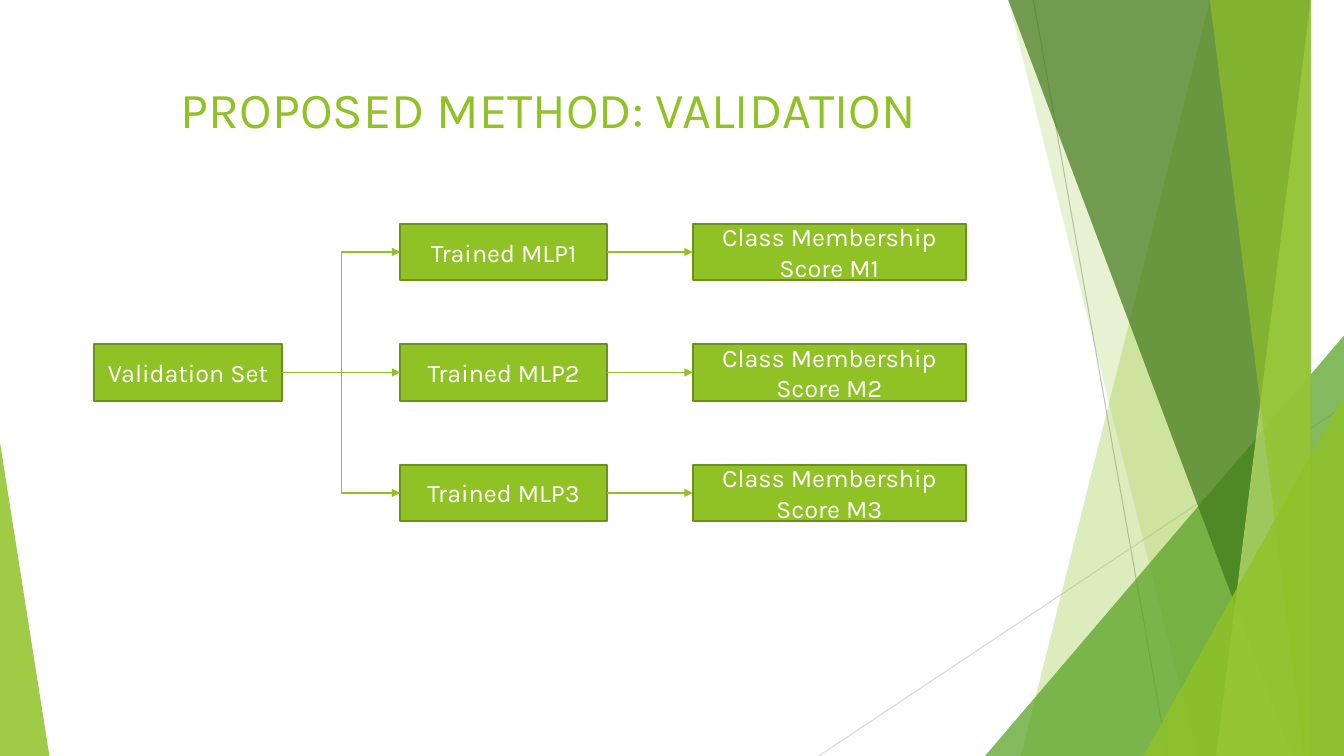
from lxml import etree
from pptx import Presentation
from pptx.dml.color import RGBColor
from pptx.enum.shapes import MSO_CONNECTOR, MSO_SHAPE
from pptx.enum.text import MSO_ANCHOR, MSO_AUTO_SIZE, PP_ALIGN
from pptx.oxml.ns import qn
from pptx.util import Inches, Pt

STRAIGHT, ELBOW = MSO_CONNECTOR.STRAIGHT, MSO_CONNECTOR.ELBOW
RECTANGLE, TRIANGLE = MSO_SHAPE.RECTANGLE, MSO_SHAPE.ISOSCELES_TRIANGLE
CENTER, MIDDLE = PP_ALIGN.CENTER, MSO_ANCHOR.MIDDLE
NO_AUTOFIT = MSO_AUTO_SIZE.NONE

WIDTH, HEIGHT = 13.33, 7.5
FONT = "Karla"
TITLE_ONLY = 5
LEFT_SITE, RIGHT_SITE = 1, 3
COLORS = {
    "lime": "90C226", "border": "6B901C", "green": "54A021",
    "forest": "3F7819", "pale": "C0E474", "white": "FFFFFF",
    "gray": "BFBFBF", "light_gray": "D9D9D9",
}

# Flow chart grid: (left, width) of each column, evenly spaced rows
COLUMNS = {"input": (0.93, 1.87), "model": (3.97, 2.05), "score": (6.87, 2.71)}
FIRST_ROW, ROW_STEP, BOX_HEIGHT = 2.22, 1.195, 0.56


def color(name):
    """Return the named palette colour."""
    return RGBColor.from_string(COLORS[name])


def write_text(shape, text, size=18, font_color="white"):
    """Put one centred line of formatted text in a shape."""
    frame = shape.text_frame
    frame.word_wrap = True
    frame.auto_size = NO_AUTOFIT
    frame.vertical_anchor = MIDDLE
    paragraph = frame.paragraphs[0]
    paragraph.alignment = CENTER
    run = paragraph.add_run()
    run.text = text
    run.font.name = FONT
    run.font.size = Pt(size)
    run.font.color.rgb = color(font_color)


def paint_facet(shape, fill, opacity):
    """Give a decorative shape a translucent fill and no outline."""
    shape.shadow.inherit = False
    shape.line.fill.background()
    shape.fill.solid()
    shape.fill.fore_color.rgb = color(fill)
    color_node = shape.fill._xPr.find(".//" + qn("a:srgbClr"))
    etree.SubElement(color_node, qn("a:alpha"), val=str(opacity * 1000))


def add_band(slide, top_x, bottom_x, fill, opacity):
    """Draw a full-height band from a slanted edge to the right side."""
    builder = slide.shapes.build_freeform(top_x, 0, scale=Inches(1))
    builder.add_line_segments([(WIDTH, 0), (WIDTH, HEIGHT), (bottom_x, HEIGHT)])
    paint_facet(builder.convert_to_shape(), fill, opacity)


def add_corner(slide, left, top, width, peak, fill, opacity):
    """Draw a right triangle that stands on the bottom edge."""
    shape = slide.shapes.add_shape(
        TRIANGLE, Inches(left), Inches(top), Inches(width), Inches(HEIGHT - top))
    shape.adjustments[0] = peak
    paint_facet(shape, fill, opacity)


def add_line(slide, start=(0, 0), end=(0, 0), kind=STRAIGHT,
             line_color="lime", weight=1):
    """Draw a plain connector without a shadow."""
    points = [Inches(value) for value in (*start, *end)]
    connector = slide.shapes.add_connector(kind, *points)
    connector.line.color.rgb = color(line_color)
    connector.line.width = Pt(weight)
    etree.SubElement(connector._element.spPr, qn("a:effectLst"))
    return connector


def add_arrow(slide, source, target, kind=STRAIGHT):
    """Link the right side of one box to the left side of another."""
    connector = add_line(slide, kind=kind)
    connector.begin_connect(source, RIGHT_SITE)
    connector.end_connect(target, LEFT_SITE)
    etree.SubElement(connector.line._get_or_add_ln(), qn("a:tailEnd"),
                     type="triangle")


def add_box(slide, column, row, text):
    """Draw a labelled flow chart box at a grid position."""
    left, width = COLUMNS[column]
    box = slide.shapes.add_shape(
        RECTANGLE, Inches(left), Inches(FIRST_ROW + row * ROW_STEP),
        Inches(width), Inches(BOX_HEIGHT))
    box.shadow.inherit = False
    box.fill.solid()
    box.fill.fore_color.rgb = color("lime")
    box.line.color.rgb = color("border")
    box.line.width = Pt(1.5)
    write_text(box, text)
    return box


def add_background(slide):
    """Draw the thin lines and the overlapping green facets."""
    add_line(slide, (10.25, 0), (11.58, HEIGHT), line_color="gray", weight=0.75)
    add_line(slide, (WIDTH, 4.03), (8.12, HEIGHT),
             line_color="light_gray", weight=0.75)
    add_band(slide, 12.28, 10.04, "lime", 30)
    add_band(slide, 10.5, 11.83, "lime", 20)
    add_corner(slide, 9.77, 3.33, 3.56, 1, "green", 72)
    add_band(slide, 10.21, 12.91, "forest", 70)
    add_band(slide, 13.03, 11.92, "pale", 70)
    add_band(slide, 11.96, 13.18, "lime", 65)
    add_corner(slide, 11.34, 3.93, 1.99, 1, "lime", 80)
    add_corner(slide, 0, 4.39, 0.49, 0, "lime", 85)


def add_title(slide, text):
    """Place and fill the title placeholder, in front of the background."""
    title = slide.shapes.title
    title.left, title.top = Inches(0.74), Inches(0.67)
    title.width, title.height = Inches(9.4), Inches(0.8)
    write_text(title, text, size=36, font_color="lime")
    slide.shapes._spTree.append(title._element)


def add_flow_chart(slide):
    """Draw the validation set, the three models and their scores."""
    validation_set = add_box(slide, "input", 1, "Validation Set")
    for row in range(3):
        model = add_box(slide, "model", row, f"Trained MLP{row + 1}")
        score = add_box(slide, "score", row, f"Class Membership Score M{row + 1}")
        add_arrow(slide, validation_set, model, STRAIGHT if row == 1 else ELBOW)
        add_arrow(slide, model, score)


def main():
    """Build and save the slide."""
    presentation = Presentation()
    presentation.slide_width = Inches(WIDTH)
    presentation.slide_height = Inches(HEIGHT)
    slide = presentation.slides.add_slide(presentation.slide_layouts[TITLE_ONLY])
    add_background(slide)
    add_title(slide, "PROPOSED METHOD: VALIDATION")
    add_flow_chart(slide)
    presentation.save("out.pptx")


main()
